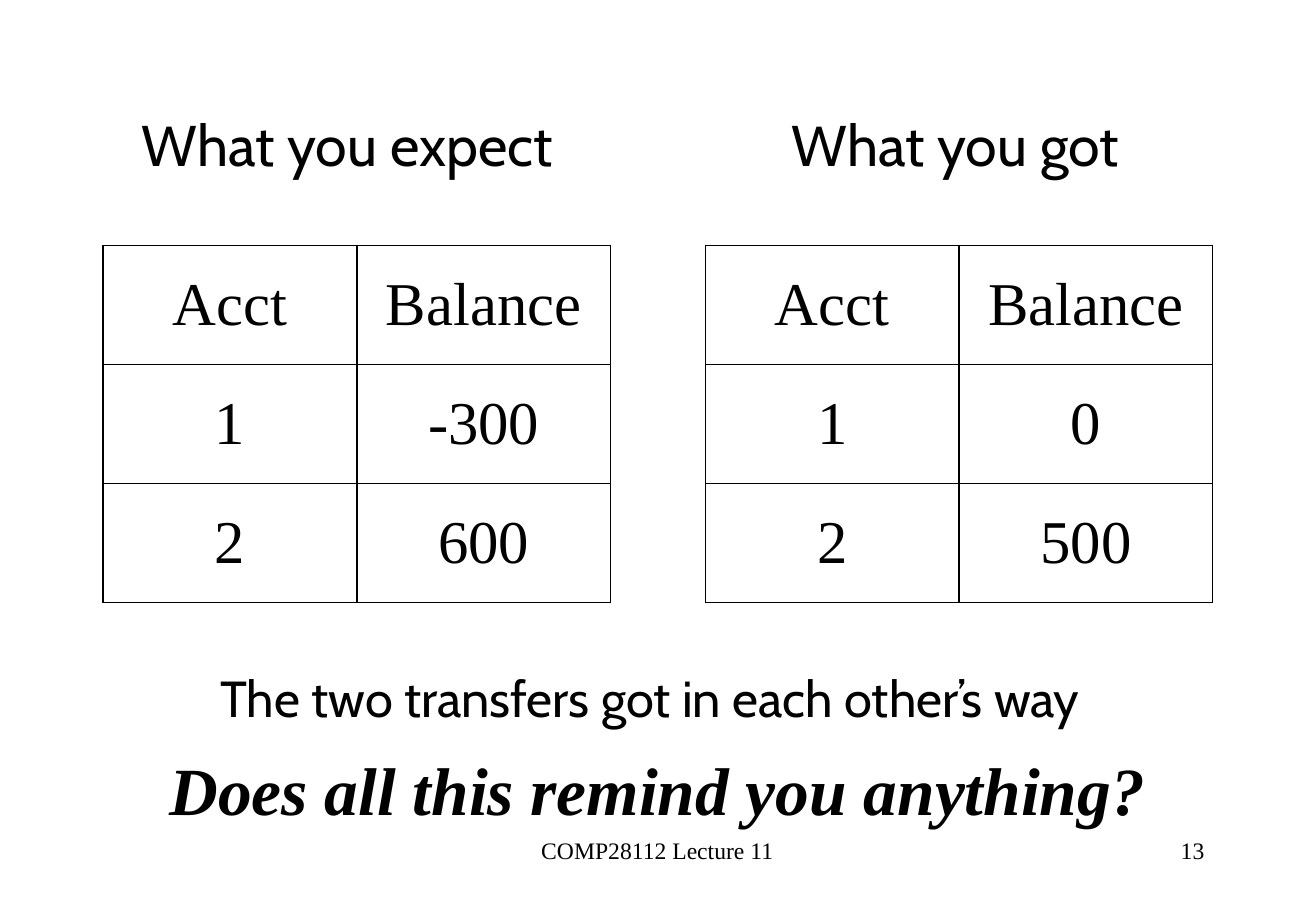
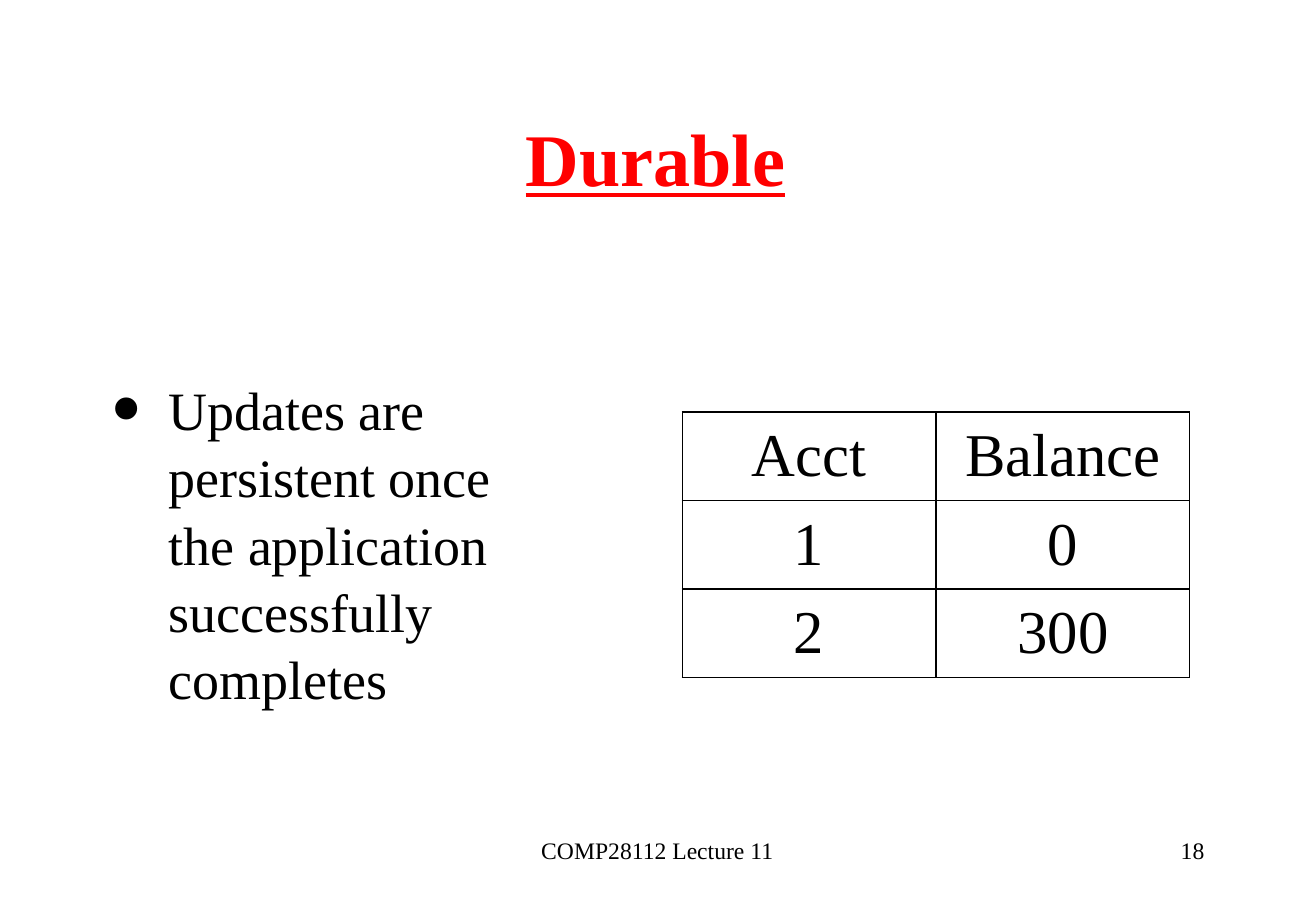
from dataclasses import dataclass

from lxml import etree
from pptx import Presentation
from pptx import util as u
from pptx.dml.color import RGBColor
from pptx.enum import text
from pptx.oxml.ns import qn

PX = 9144  # EMU in one px, 100 px to the inch
LEFT, CENTER, RIGHT = text.PP_ALIGN.LEFT, text.PP_ALIGN.CENTER, text.PP_ALIGN.RIGHT
TOP, MIDDLE = text.MSO_ANCHOR.TOP, text.MSO_ANCHOR.MIDDLE


@dataclass(frozen=True)
class Theme:
    ink: str = "000000"
    accent: str = "FF0000"
    serif: str = "Times New Roman"
    sans: str = "Cabin"
    title: int = 44
    question: int = 40
    cell: int = 36
    heading: int = 34
    body: int = 32
    remark: int = 30
    footer: int = 14
    border: float = 0.96
    bullet_percent: int = 171


THEME = Theme()


@dataclass(frozen=True)
class Area:
    left: int
    top: int
    width: int
    height: int

    def emu(self) -> tuple:
        return tuple(u.Emu(n * PX) for n in (self.left, self.top, self.width, self.height))


@dataclass(frozen=True)
class Accounts:
    """A table of account balances."""
    left: int
    top: int
    row_height: int
    balances: tuple
    column_width: int = 209

    def rows(self) -> list:
        numbered = enumerate(self.balances, start=1)
        return [("Acct", "Balance")] + [(str(n), balance) for n, balance in numbered]


def write(frame, words: str, *, size: int, font: str = THEME.serif, color: str = THEME.ink,
          align=CENTER, anchor=MIDDLE, insets: tuple = (0, 0, 0, 0), bold: bool = False,
          italic: bool = False, underline: bool = False):
    """Fill a text frame with one formatted paragraph and return it."""
    frame.word_wrap = True
    frame.auto_size = text.MSO_AUTO_SIZE.NONE
    frame.vertical_anchor = anchor
    (frame.margin_left, frame.margin_top,
     frame.margin_right, frame.margin_bottom) = (u.Emu(n * PX) for n in insets)
    para = frame.paragraphs[0]
    para.alignment = align
    span = para.add_run()
    span.text = words
    span.font.name, span.font.size = font, u.Pt(size)
    span.font.color.rgb = RGBColor.from_string(color)
    span.font.bold, span.font.italic, span.font.underline = bold, italic, underline
    return para


def add_text(page, area: Area, words: str, **look):
    box = page.shapes.add_textbox(*area.emu())
    return write(box.text_frame, words, **look)


def add_bullet(para, hanging: int, indent: int) -> None:
    props = para._p.get_or_add_pPr()
    props.set("marL", str(indent * PX))
    props.set("indent", str(-hanging * PX))
    color = etree.SubElement(props, qn("a:buClr"))
    etree.SubElement(color, qn("a:srgbClr"), val=THEME.ink)
    etree.SubElement(props, qn("a:buSzPct"), val=str(THEME.bullet_percent * 1000))
    etree.SubElement(props, qn("a:buFont"), typeface=THEME.serif)
    etree.SubElement(props, qn("a:buChar"), char="•")


def add_borders(cell) -> None:
    props = cell._tc.get_or_add_tcPr()
    for place, side in enumerate(("lnL", "lnR", "lnT", "lnB")):
        line = etree.Element(qn(f"a:{side}"), w=str(u.Pt(THEME.border)))
        fill = etree.SubElement(line, qn("a:solidFill"))
        etree.SubElement(fill, qn("a:srgbClr"), val=THEME.ink)
        props.insert(place, line)


def add_accounts(page, accounts: Accounts) -> None:
    rows = accounts.rows()
    area = Area(accounts.left, accounts.top,
                2 * accounts.column_width, len(rows) * accounts.row_height)
    table = page.shapes.add_table(len(rows), 2, *area.emu()).table
    table.first_row = table.horz_banding = False
    for row, entries in enumerate(rows):
        for column, entry in enumerate(entries):
            cell = table.cell(row, column)
            para = write(cell.text_frame, entry, size=THEME.cell)
            para.line_spacing = 1.0
            cell.vertical_anchor = MIDDLE
            cell.margin_left = cell.margin_right = u.Emu(4 * PX)
            cell.margin_top = cell.margin_bottom = u.Emu(5 * PX)
            cell.fill.background()
            add_borders(cell)


def add_footer(page, number: int) -> None:
    look = dict(size=THEME.footer, anchor=TOP, insets=(10, 5, 10, 5))
    add_text(page, Area(370, 683, 343, 50), "COMP28112 Lecture 11", **look)
    add_text(page, Area(776, 683, 226, 50), str(number), align=RIGHT, **look)


def build_comparison(deck) -> None:
    page = deck.slides.add_slide(deck.slide_layouts.get_by_name("Blank"))
    sides = (
        ("What you expect ", 60, Accounts(85, 202, 98, ("-300", "600"))),
        ("What you got ", 561, Accounts(581, 202, 98, ("0", "500"))),
    )
    for heading, left, accounts in sides:
        add_text(page, Area(left, 89, 463, 59), heading, size=THEME.heading, font=THEME.sans)
        add_accounts(page, accounts)
    add_text(page, Area(30, 548, 1011, 52), "The two transfers got in each other’s way",
             size=THEME.remark, font=THEME.sans)
    add_text(page, Area(0, 611, 1083, 77), "Does all this remind you anything?",
             size=THEME.question, anchor=TOP, insets=(10, 5, 10, 5), bold=True, italic=True)
    add_footer(page, 13)


def build_durable(deck) -> None:
    page = deck.slides.add_slide(deck.slide_layouts.get_by_name("Title Only"))
    title = page.shapes.title
    title.left, title.top, title.width, title.height = Area(81, 67, 921, 125).emu()
    write(title.text_frame, "Durable", size=THEME.title, color=THEME.accent,
          insets=(14, 0, 17, 0), bold=True, underline=True)
    para = add_text(page, Area(64, 226, 394, 441),
                    "Updates are persistent once the application successfully completes",
                    size=THEME.body, align=LEFT, insets=(5, 0, 5, 0))
    para.space_before = u.Pt(8)
    para.line_spacing = 1.04
    add_bullet(para, hanging=48, indent=70)
    add_accounts(page, Accounts(562, 339, 73, ("0", "300")))
    add_footer(page, 18)


def main() -> None:
    deck = Presentation()
    deck.slide_width, deck.slide_height = u.Emu(1084 * PX), u.Emu(750 * PX)
    build_comparison(deck)
    build_durable(deck)
    deck.save("out.pptx")


if __name__ == "__main__":
    main()
